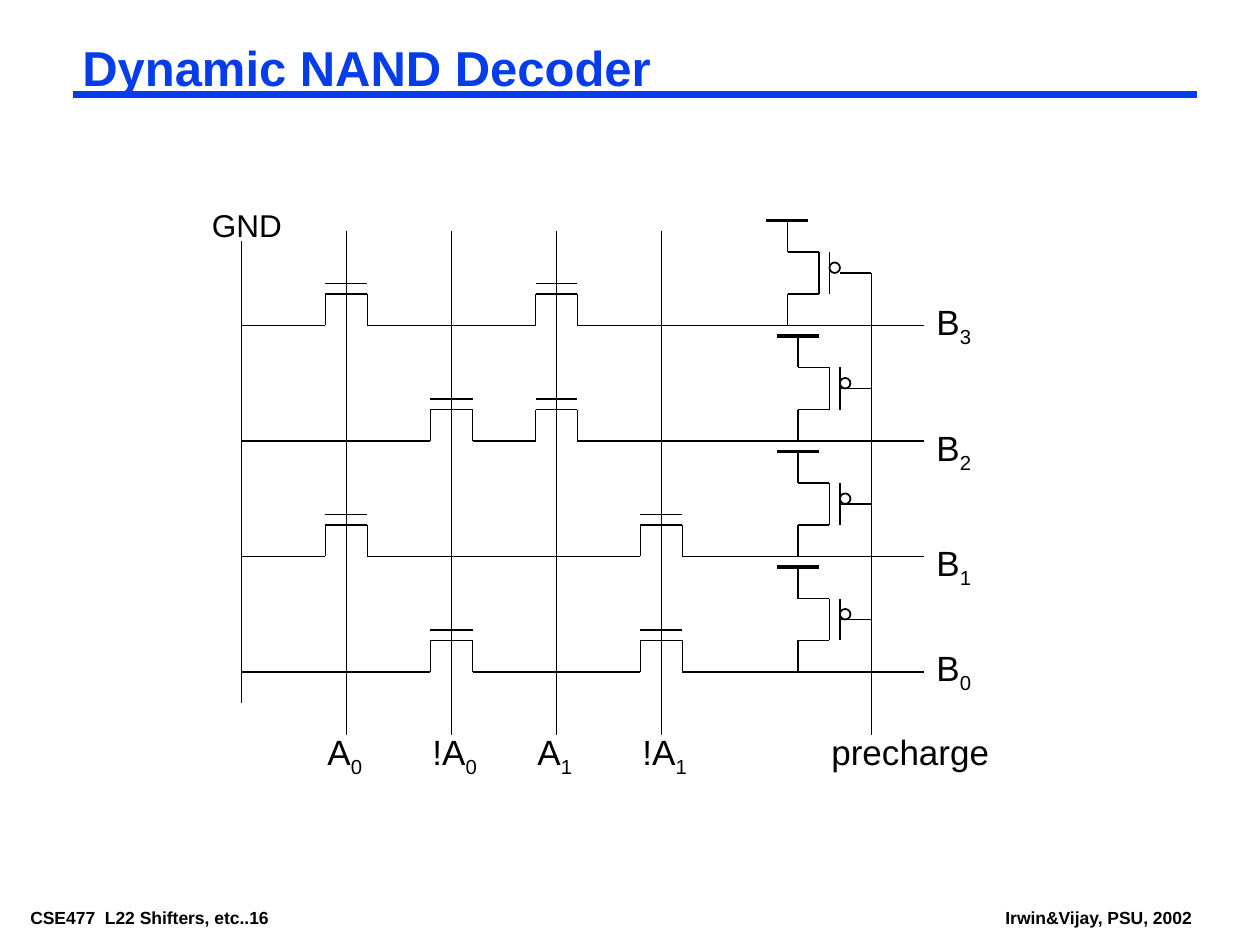
from lxml import etree
from pptx import Presentation
from pptx.dml.color import RGBColor
from pptx.enum import shapes, text
from pptx.oxml.ns import qn
from pptx.util import Inches, Pt

COLORS = {"ink": "000000", "accent": "063DE8"}
FONT = "Arial"
GRID = 12
GND_X, PRECHARGE_X, OUTPUT_X = 23, 83, 88
INPUTS = {"A0": 33, "!A0": 43, "A1": 53, "!A1": 63}
ROWS = [
    ("3", 31, ("A0", "A1"), 75, 28),
    ("2", 42, ("!A0", "A1"), 76, 40),
    ("1", 53, ("A0", "!A1"), 76, 51),
    ("0", 64, ("!A0", "!A1"), 76, 61),
]


def grid(units):
    return Inches(units / GRID)


def color(name):
    return RGBColor.from_string(COLORS[name])


def add_wire(parent, x1, y1, x2, y2, width=1, ink="ink"):
    wire = parent.shapes.add_connector(
        shapes.MSO_CONNECTOR.STRAIGHT, grid(x1), grid(y1), grid(x2), grid(y2))
    wire.line.color.rgb = color(ink)
    wire.line.width = Pt(width)
    etree.SubElement(wire._element.spPr, qn("a:effectLst"))


def add_run(paragraph, wording, size, ink="ink", bold=False, subscript=False):
    run = paragraph.add_run()
    run.text = wording
    run.font.name = FONT
    run.font.size = Pt(size)
    run.font.bold = bold
    run.font.color.rgb = color(ink)
    if subscript:
        run._r.get_or_add_rPr().set("baseline", "-25000")


def set_frame(frame, inset_x, inset_y, wrap=True):
    frame.word_wrap = wrap
    frame.auto_size = text.MSO_AUTO_SIZE.SHAPE_TO_FIT_TEXT
    frame.vertical_anchor = text.MSO_ANCHOR.TOP
    frame.margin_left = frame.margin_right = Inches(inset_x)
    frame.margin_top = frame.margin_bottom = Inches(inset_y)


def add_label(slide, x, y, width, height, wording, index="", size=20):
    label = slide.shapes.add_textbox(grid(x), grid(y), grid(width), Inches(height))
    set_frame(label.text_frame, 0.1, 0.05)
    paragraph = label.text_frame.paragraphs[0]
    add_run(paragraph, wording, size)
    if index:
        add_run(paragraph, index, size, subscript=True)


def add_footer(slide, left, width, wording):
    footer = slide.shapes.add_textbox(
        Inches(left), Inches(7.17), Inches(width), Inches(0.22))
    set_frame(footer.text_frame, 0.07, 0.03, wrap=False)
    add_run(footer.text_frame.paragraphs[0], wording, 10, bold=True)


def add_title(slide, wording):
    add_wire(slide, 7, 9, 114, 9, 4.5, "accent")
    title = slide.shapes.title
    title.left, title.top = grid(7), grid(4)
    title.width, title.height = grid(107), Inches(0.46)
    set_frame(title.text_frame, 0.07, 0.03)
    paragraph = title.text_frame.paragraphs[0]
    paragraph.alignment = text.PP_ALIGN.LEFT
    paragraph.line_spacing = 0.87
    add_run(paragraph, wording, 28, "accent", bold=True)


def add_nmos(slide, x, y):
    nmos = slide.shapes.add_group_shape()
    add_wire(nmos, x - 2, y - 3, x + 2, y - 3)
    add_wire(nmos, x - 2, y - 4, x + 2, y - 4)
    for side in (-1, 1):
        add_wire(nmos, x + 2 * side, y - 3, x + 2 * side, y)
        add_wire(nmos, x + 2 * side, y, x + 5 * side, y)


def add_pmos(slide, x, y):
    pmos = slide.shapes.add_group_shape()
    add_wire(pmos, x - 2, y - 10, x + 2, y - 10, 2.25)
    for gate_side in (x + 3, x + 4):
        add_wire(pmos, gate_side, y - 7, gate_side, y - 3)
    for outer, inner in ((y - 10, y - 7), (y, y - 3)):
        add_wire(pmos, x, outer, x, inner)
        add_wire(pmos, x, inner, x + 3, inner)
    bubble = pmos.shapes.add_shape(
        shapes.MSO_SHAPE.OVAL, grid(x + 4), grid(y - 6), grid(1), grid(1))
    bubble.shadow.inherit = False
    bubble.fill.background()
    bubble.line.color.rgb = color("ink")
    bubble.line.width = Pt(1)


def add_row(slide, index, y, gates, pmos_x, label_y):
    start = GND_X
    for gate in gates:
        x = INPUTS[gate]
        if x - 5 > start:
            add_wire(slide, start, y, x - 5, y)
        add_nmos(slide, x, y)
        start = x + 5
    add_wire(slide, start, y, OUTPUT_X, y)
    add_pmos(slide, pmos_x, y)
    add_wire(slide, 80, y - 5, PRECHARGE_X, y - 5)
    add_label(slide, OUTPUT_X, label_y, 9, 0.48, "B", index)


def main():
    deck = Presentation()
    deck.slide_width, deck.slide_height = Inches(10), Inches(7.5)
    slide = deck.slides.add_slide(deck.slide_layouts[5])
    add_footer(slide, 0.17, 2.55, "CSE477  L22 Shifters, etc..16")
    add_footer(slide, 7.91, 1.63, "Irwin&Vijay, PSU, 2002")
    add_title(slide, "Dynamic NAND Decoder")

    add_wire(slide, GND_X, 23, GND_X, 67)
    add_label(slide, 19, 19, 10, 0.4, "GND", size=18)
    for name, x in INPUTS.items():
        add_wire(slide, x, 22, x, 70)
        add_label(slide, x - 3, 69, 9, 0.48, name[:-1], name[-1])
    add_wire(slide, PRECHARGE_X, 26, PRECHARGE_X, 70)
    add_label(slide, 78, 69, 19, 0.44, "precharge")
    for row in ROWS:
        add_row(slide, *row)
    deck.save("out.pptx")


if __name__ == "__main__":
    main()
